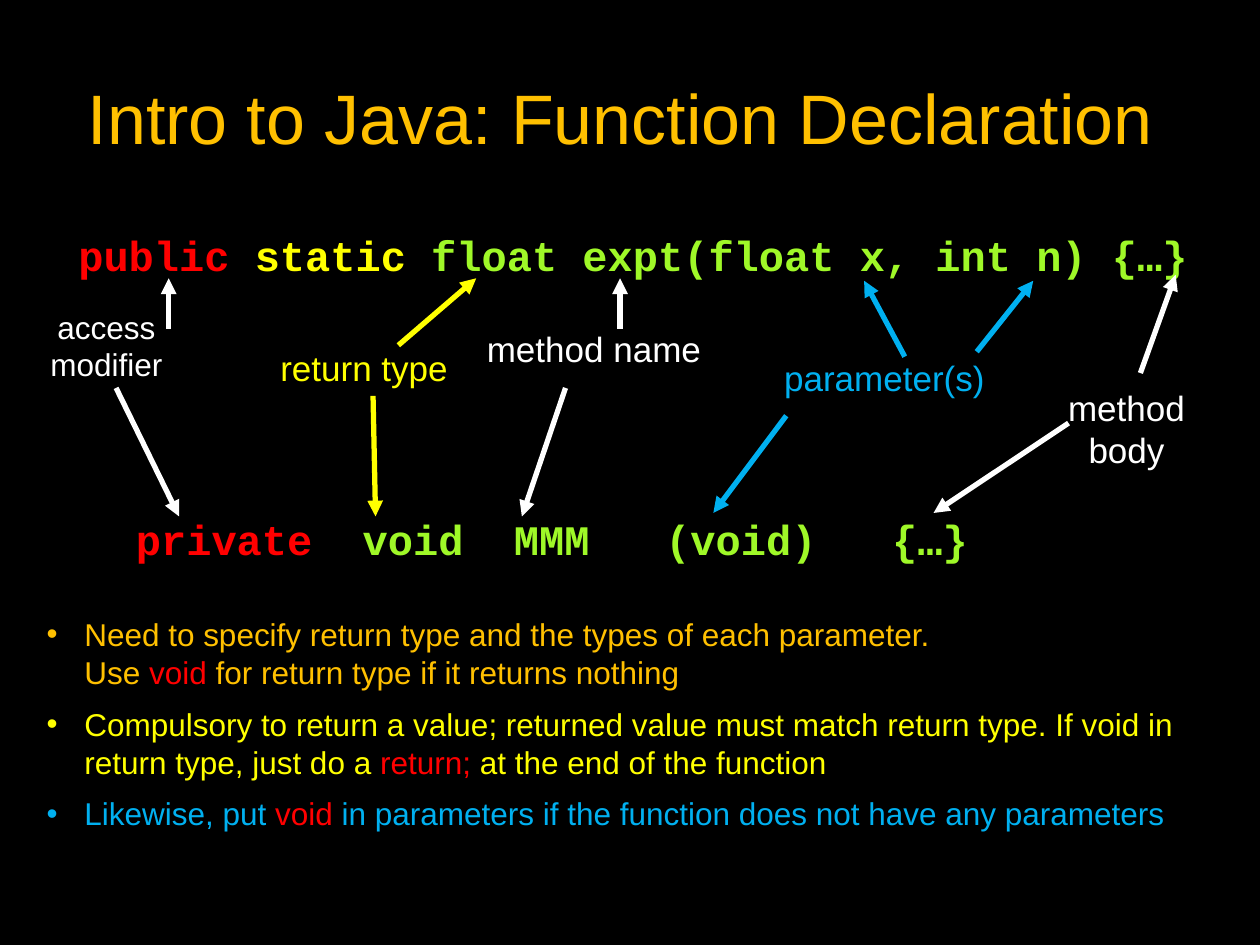
from lxml import etree
from pptx import Presentation
from pptx import util as u
from pptx.dml.color import RGBColor
from pptx.enum import shapes, text
from pptx.oxml.ns import qn

BLACK, WHITE, RED = "000000", "FFFFFF", "FF0000"
ORANGE, YELLOW, GREEN, BLUE = "FFC000", "FFFF00", "9FF828", "00B0F0"
CODE_FONT = "Courier New"

LABELS = [  # text, left, top, width, height, colour, size, inset
    ("method name", 9.6, 6.48, 4.75, 1.12, WHITE, 20, 0.13),
    ("return type", 5.13, 6.86, 4.42, 1.12, YELLOW, 20, 0.13),
    ("parameter(s)", 15.34, 7.06, 4.98, 1.12, BLUE, 20, 0.13),
    ("method body", 21.16, 7.8, 3.1, 1.7, WHITE, 20, 0),
    ("access\vmodifier", -0.23, 6.07, 4.75, 1.78, WHITE, 18, 0.13),
]
ARROWS = [  # start x, start y, end x, end y, colour
    (3.4, 6.63, 3.4, 5.61, WHITE),
    (2.34, 7.82, 3.61, 10.41, WHITE),
    (8.03, 6.96, 9.6, 5.61, YELLOW),
    (7.52, 7.98, 7.57, 10.41, YELLOW),
    (12.5, 6.63, 12.5, 5.61, WHITE),
    (11.4, 7.82, 10.52, 10.41, WHITE),
    (18.24, 7.19, 17.42, 5.66, BLUE),
    (19.69, 7.09, 20.83, 5.66, BLUE),
    (15.85, 8.38, 14.38, 10.34, BLUE),
    (22.99, 7.52, 23.7, 5.54, WHITE),
    (21.54, 8.53, 18.82, 10.34, WHITE),
]
RULES = [  # colour, text before the keyword, keyword, text after it
    (ORANGE, "Need to specify return type and the types of each parameter.\vUse ",
     "void", " for return type if it returns nothing"),
    (YELLOW, "Compulsory to return a value; returned value must match return type. "
     "If void in return type, just do a ", "return;", " at the end of the function"),
    (BLUE, "Likewise, put ", "void",
     " in parameters if the function does not have any parameters"),
]


def rgb(colour):
    return RGBColor.from_string(colour)


def place(shape, left, top, width, height):
    shape.left, shape.top = u.Cm(left), u.Cm(top)
    shape.width, shape.height = u.Cm(width), u.Cm(height)


def set_frame(shape, inset=0, wrap=True, anchor=text.MSO_ANCHOR.TOP):
    frame = shape.text_frame
    frame.word_wrap = wrap
    frame.auto_size = text.MSO_AUTO_SIZE.NONE
    frame.vertical_anchor = anchor
    frame.margin_left = frame.margin_right = u.Cm(inset)
    frame.margin_top = frame.margin_bottom = u.Cm(inset)
    return frame


def write(paragraph, content, colour=WHITE, size=20, font="Arial", bold=False):
    """Append text to a paragraph; a vertical tab becomes a line break."""
    for index, line in enumerate(content.split("\v")):
        if index:
            paragraph.add_line_break()
        run = paragraph.add_run()
        run.text = line
        run.font.name, run.font.size, run.font.bold = font, u.Pt(size), bold
        run.font.color.rgb = rgb(colour)


def add_title(slide, content):
    title = slide.shapes.title
    place(title, 1.27, 0.18, 22.86, 4.34)
    paragraph = set_frame(title, 0.15, anchor=text.MSO_ANCHOR.MIDDLE).paragraphs[0]
    paragraph.alignment = text.PP_ALIGN.CENTER
    write(paragraph, content, ORANGE, 40)


def add_code(slide, box, parts, inset=0):
    shape = slide.shapes.add_textbox(*map(u.Cm, box))
    paragraph = set_frame(shape, inset, wrap=False).paragraphs[0]
    for content, colour in parts:
        write(paragraph, content, colour, 24, CODE_FONT, True)


def add_label(slide, content, left, top, width, height, colour, size, inset):
    shape = slide.shapes.add_textbox(*map(u.Cm, (left, top, width, height)))
    paragraph = set_frame(shape, inset).paragraphs[0]
    paragraph.alignment = text.PP_ALIGN.CENTER
    write(paragraph, content, colour, size)


def add_arrow(slide, start_x, start_y, end_x, end_y, colour):
    arrow = slide.shapes.add_connector(
        shapes.MSO_CONNECTOR.STRAIGHT, *map(u.Cm, (start_x, start_y, end_x, end_y)))
    arrow.line.color.rgb = rgb(colour)
    arrow.line.width = u.Pt(3)
    etree.SubElement(arrow.line._get_or_add_ln(), qn("a:tailEnd"), type="triangle")
    etree.SubElement(arrow._element.spPr, qn("a:effectLst"))


def add_bullet(paragraph, colour):
    properties = paragraph._p.get_or_add_pPr()
    properties.set("marL", str(u.Cm(0.86)))
    properties.set("indent", str(u.Cm(-0.76)))
    bullet_colour = etree.SubElement(properties, qn("a:buClr"))
    etree.SubElement(bullet_colour, qn("a:srgbClr"), val=colour)
    etree.SubElement(properties, qn("a:buFont"), typeface="Arial")
    etree.SubElement(properties, qn("a:buChar"), char="•")


def add_rules(slide):
    body = slide.placeholders[1]
    place(body, 0.84, 12.4, 24.56, 5.05)
    frame = set_frame(body)
    for index, (colour, before, keyword, after) in enumerate(RULES):
        paragraph = frame.add_paragraph() if index else frame.paragraphs[0]
        paragraph.space_before = u.Pt(8 if index else 0)
        add_bullet(paragraph, colour)
        for content, shade in ((before, colour), (keyword, RED), (after, colour)):
            write(paragraph, content, shade, 18)


def main():
    presentation = Presentation()
    presentation.slide_width, presentation.slide_height = u.Cm(25.4), u.Cm(19.05)
    slide = presentation.slides.add_slide(presentation.slide_layouts[1])
    slide.background.fill.solid()
    slide.background.fill.fore_color.rgb = rgb(BLACK)

    add_title(slide, "Intro to Java: Function Declaration ")
    add_code(slide, (1.45, 4.5, 22.83, 2.29),
             [("public ", RED), ("static ", YELLOW),
              ("float expt(float x, int n) {…}", GREEN)], inset=0.13)
    add_code(slide, (2.74, 10.36, 16.99, 1.02),
             [("private", RED), ("  void  MMM   (void)   {…}", GREEN)])
    add_rules(slide)
    for label in LABELS:
        add_label(slide, *label)
    for arrow in ARROWS:
        add_arrow(slide, *arrow)
    presentation.save("out.pptx")


if __name__ == "__main__":
    main()
